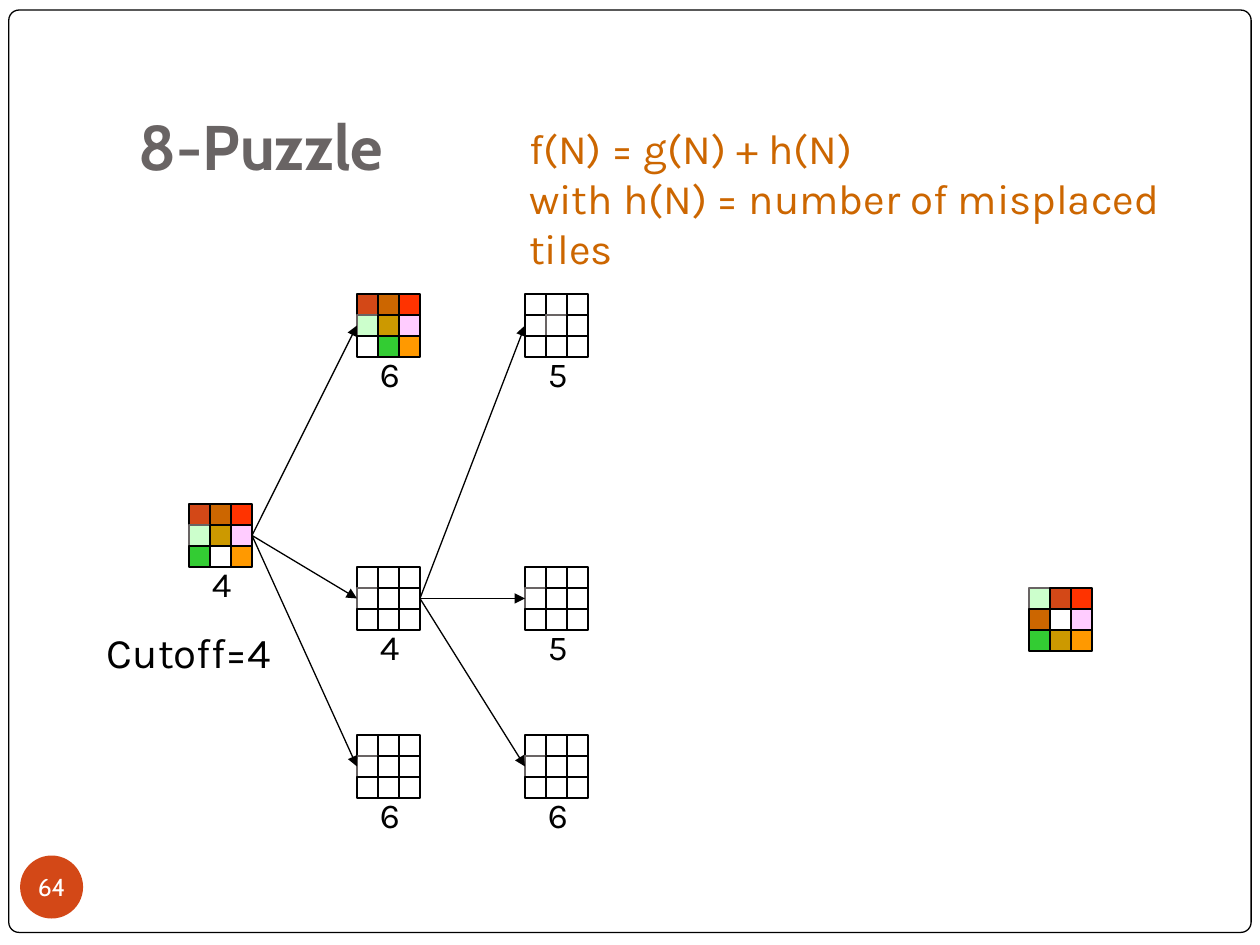
from typing import NamedTuple

from lxml.etree import SubElement
from pptx import Presentation
from pptx.dml.color import RGBColor
from pptx.enum.shapes import MSO_CONNECTOR, MSO_SHAPE
from pptx.enum.text import MSO_ANCHOR, PP_ALIGN
from pptx.oxml.ns import qn
from pptx.util import Inches, Pt

COLORS = {
    "black": "000000", "white": "FFFFFF", "gray": "696464",
    "rust": "D34817", "brown": "CC6600",
}
# Tile letters: "o" is a blank tile, "x" a blank tile with a gray edge
TILES = {
    "r": "D34817", "b": "CC6600", "s": "FF3300", "m": "CCFFCC", "y": "CC9900",
    "p": "FFCCFF", "g": "33CC33", "a": "FF9900", "o": "FFFFFF", "x": "FFFFFF",
}
GRAY_EDGE = "mx"
TILE = 1 / 6  # inches; boards sit on a grid of this size


class Board(NamedTuple):
    col: int
    row: int
    tiles: str
    cost: str = ""


BLANK = "oooxooooo"
BOARDS = {
    "start": Board(9, 24, "rbsmypgoa", "4"),
    "up": Board(17, 14, "rbsmypoga", "6"),
    "mid": Board(17, 27, BLANK, "4"),
    "down": Board(17, 35, BLANK, "6"),
    "mid up": Board(25, 14, "ooooxoooo", "5"),
    "mid mid": Board(25, 27, BLANK, "5"),
    "mid down": Board(25, 35, BLANK, "6"),
    "goal": Board(49, 28, "mrsbopgya"),
}
MOVES = [
    ("start", "up"), ("start", "mid"), ("start", "down"),
    ("mid", "mid up"), ("mid", "mid mid"), ("mid", "mid down"),
]


def rgb(name: str) -> RGBColor:
    return RGBColor.from_string(COLORS[name])


def write(frame, text: str, size: int, color: str, face: str = "Karla",
          align=PP_ALIGN.LEFT, **extra) -> None:
    frame.word_wrap = True
    frame.text = text
    style = {"name": face, "size": Pt(size), **extra}
    for para in frame.paragraphs:
        para.alignment = align
        font = para.runs[0].font
        font.color.rgb = rgb(color)
        for key, value in style.items():
            setattr(font, key, value)


def add_text(slide, box: tuple, text: str, size: int, color: str = "black"):
    frame = slide.shapes.add_textbox(*map(Inches, box)).text_frame
    write(frame, text, size, color)


def add_shape(slide, kind, box: tuple, fill: str, edge: str = ""):
    shape = slide.shapes.add_shape(kind, *map(Inches, box))
    shape.shadow.inherit = False
    shape.fill.solid()
    shape.fill.fore_color.rgb = RGBColor.from_string(fill)
    if edge:
        shape.line.color.rgb = rgb(edge)
        shape.line.width = Pt(0.75)
    else:
        shape.line.fill.background()
    return shape


def add_board(slide, board: Board) -> list:
    cells = []
    for i, key in enumerate(board.tiles):
        row, col = divmod(i, 3)
        box = ((board.col + col) * TILE, (board.row + row) * TILE, TILE, TILE)
        edge = "gray" if key in GRAY_EDGE else "black"
        cells.append(add_shape(slide, MSO_SHAPE.RECTANGLE, box, TILES[key], edge))
    if board.cost:
        spot = ((board.col + 0.5) * TILE, (board.row + 2.5) * TILE, 0.35, 0.43)
        add_text(slide, spot, board.cost, 20)
    return cells


def add_arrow(slide, first, last) -> None:
    line = slide.shapes.add_connector(MSO_CONNECTOR.STRAIGHT, 0, 0, 0, 0)
    line.begin_connect(first, 3)
    line.end_connect(last, 1)
    line.line.color.rgb = rgb("black")
    line.line.width = Pt(0.75)
    SubElement(line.line._get_or_add_ln(), qn("a:tailEnd"), type="triangle")
    SubElement(line._element.spPr, qn("a:effectLst"))


def main() -> None:
    deck = Presentation()
    deck.slide_width, deck.slide_height = Inches(10), Inches(7.5)
    slide = deck.slides.add_slide(deck.slide_layouts[5])

    # Page frame, kept behind the title
    page = add_shape(slide, MSO_SHAPE.ROUNDED_RECTANGLE,
                     (0.07, 0.08, 9.86, 7.32), COLORS["white"], "black")
    page.adjustments[0] = 0.011
    title = slide.shapes.title
    page._element.addnext(title._element)

    # Title
    place = {"left": 1, "top": 0.3, "width": 8.5, "height": 1.25}
    for key, value in place.items():
        setattr(title, key, Inches(value))
    frame = title.text_frame
    frame.vertical_anchor = MSO_ANCHOR.BOTTOM
    frame.margin_bottom = Inches(0.1)
    write(frame, "8-Puzzle", 36, "gray", "Cabin", bold=True)

    # Slide number
    badge = add_shape(slide, MSO_SHAPE.OVAL, (0.16, 6.79, 0.5, 0.5), COLORS["rust"])
    frame = badge.text_frame
    for side in ("left", "top", "right", "bottom"):
        setattr(frame, f"margin_{side}", 0)
    frame.vertical_anchor = MSO_ANCHOR.MIDDLE
    write(frame, "64", 14, "white", "Cabin", PP_ALIGN.CENTER)

    # Search tree: arrows join the middle row of each board
    cells = {name: add_board(slide, board) for name, board in BOARDS.items()}
    for first, last in MOVES:
        add_arrow(slide, cells[first][5], cells[last][3])

    # Notes on the search
    add_text(slide, (0.75, 4.92, 1.52, 0.5), "Cutoff=4", 24)
    add_text(slide, (4.1, 0.92, 5.82, 0.9),
             "f(N) = g(N) + h(N)\nwith h(N) = number of misplaced tiles",
             24, "brown")

    deck.save("out.pptx")


if __name__ == "__main__":
    main()
